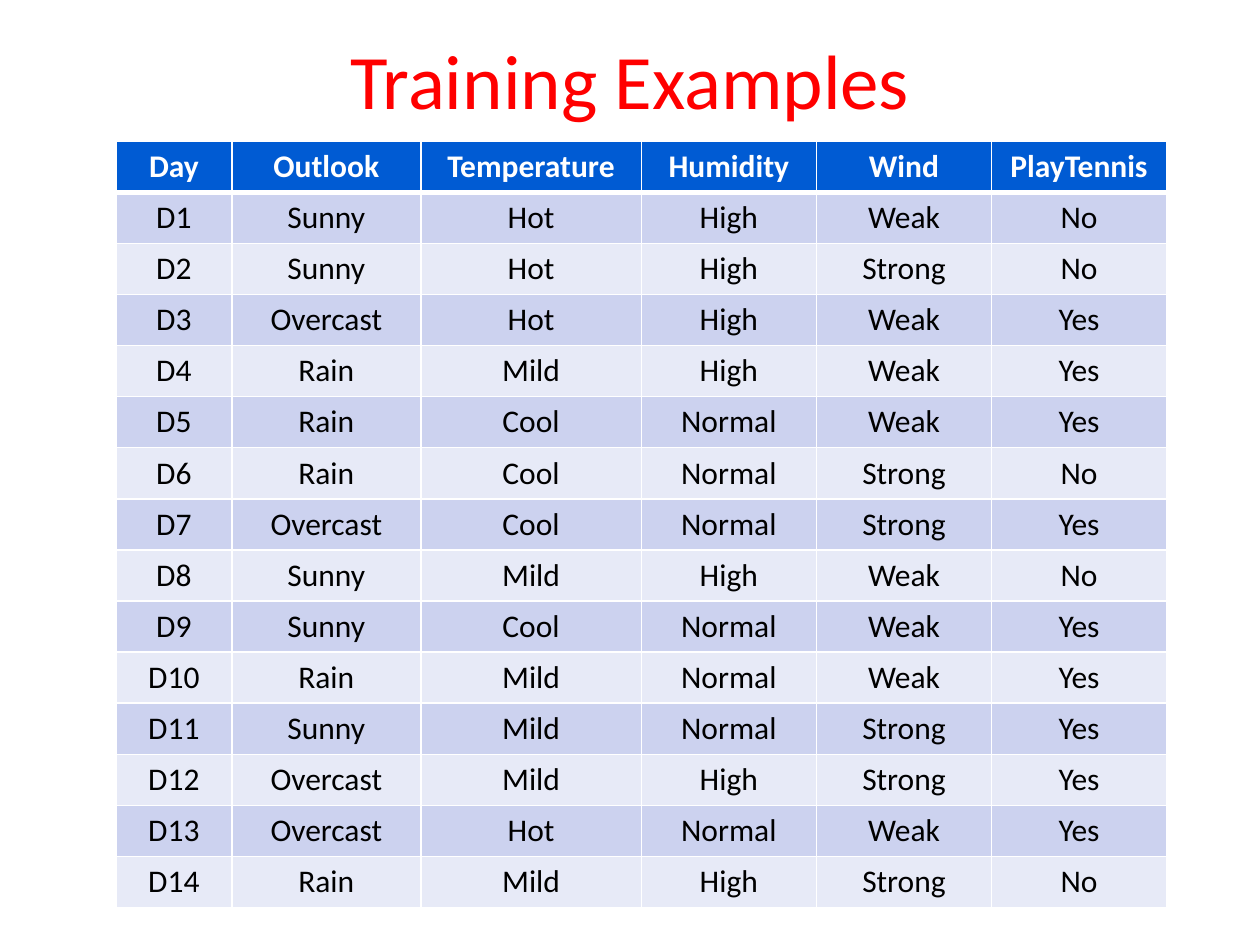
from lxml import etree
from pptx import Presentation
from pptx.dml.color import RGBColor
from pptx.enum import text
from pptx.oxml import ns
from pptx.util import Inches, Pt

FONT = "Calibri"
RED = RGBColor(0xFF, 0x00, 0x00)
WHITE = RGBColor(0xFF, 0xFF, 0xFF)
BLACK = RGBColor(0x00, 0x00, 0x00)
BLUE = RGBColor(0x00, 0x5B, 0xD3)
DARK = RGBColor(0xCC, 0xD2, 0xEF)
LIGHT = RGBColor(0xE7, 0xEA, 0xF7)

WIDTHS = [0.92, 1.5, 1.75, 1.39, 1.39, 1.39]
HEIGHT = 0.405
HEADS = ["Day", "Outlook", "Temperature", "Humidity", "Wind", "PlayTennis"]
DAYS = """Sunny Hot High Weak No
Sunny Hot High Strong No
Overcast Hot High Weak Yes
Rain Mild High Weak Yes
Rain Cool Normal Weak Yes
Rain Cool Normal Strong No
Overcast Cool Normal Strong Yes
Sunny Mild High Weak No
Sunny Cool Normal Weak Yes
Rain Mild Normal Weak Yes
Sunny Mild Normal Strong Yes
Overcast Mild High Strong Yes
Overcast Hot Normal Weak Yes
Rain Mild High Strong No"""


def write(frame, words, size, color, bold=False):
    """Put one centred run into a text frame."""
    frame.vertical_anchor = text.MSO_ANCHOR.MIDDLE
    par = frame.paragraphs[0]
    par.alignment = text.PP_ALIGN.CENTER
    run = par.add_run()
    run.text = words
    font = run.font
    font.name, font.size, font.bold = FONT, Pt(size), bold
    font.color.rgb = color


def border(cell, side, width):
    """Draw a white line on one side of a cell."""
    props = cell._tc.get_or_add_tcPr()
    line = etree.SubElement(props, ns.qn(f"a:ln{side}"), w=str(Pt(width)))
    fill = etree.SubElement(line, ns.qn("a:solidFill"))
    etree.SubElement(fill, ns.qn("a:srgbClr"), val=str(WHITE))


def add_title(slide):
    title = slide.shapes.title
    title.left, title.top = Inches(0.5), Inches(0)
    title.width, title.height = Inches(9), Inches(1.25)
    write(title.text_frame, "Training Examples", 44, RED)


def style(cell, words, row):
    """Fill a cell by its row: header, then alternate bands."""
    head = row == 0
    write(cell.text_frame, words, 18, WHITE if head else BLACK, head)
    cell.vertical_anchor = text.MSO_ANCHOR.MIDDLE
    # The rule under the header is thicker, seen from both rows
    border(cell, "L", 1)
    border(cell, "R", 1)
    border(cell, "T", 3 if row == 1 else 1)
    border(cell, "B", 3 if head else 1)
    cell.fill.solid()
    cell.fill.fore_color.rgb = BLUE if head else DARK if row % 2 else LIGHT


def add_grid(slide):
    days = [line.split() for line in DAYS.splitlines()]
    rows = [HEADS] + [[f"D{n}"] + day for n, day in enumerate(days, 1)]
    grid = slide.shapes.add_table(
        len(rows), len(HEADS), Inches(0.92), Inches(1.12),
        Inches(sum(WIDTHS)), Inches(HEIGHT * len(rows))).table
    for col, width in zip(grid.columns, WIDTHS):
        col.width = Inches(width)
    for r, row in enumerate(rows):
        grid.rows[r].height = Inches(HEIGHT)
        for c, words in enumerate(row):
            style(grid.cell(r, c), words, r)


def main():
    deck = Presentation()
    deck.slide_width, deck.slide_height = Inches(10), Inches(7.5)
    slide = deck.slides.add_slide(deck.slide_layouts[5])
    add_title(slide)
    add_grid(slide)
    deck.save("out.pptx")


if __name__ == "__main__":
    main()
